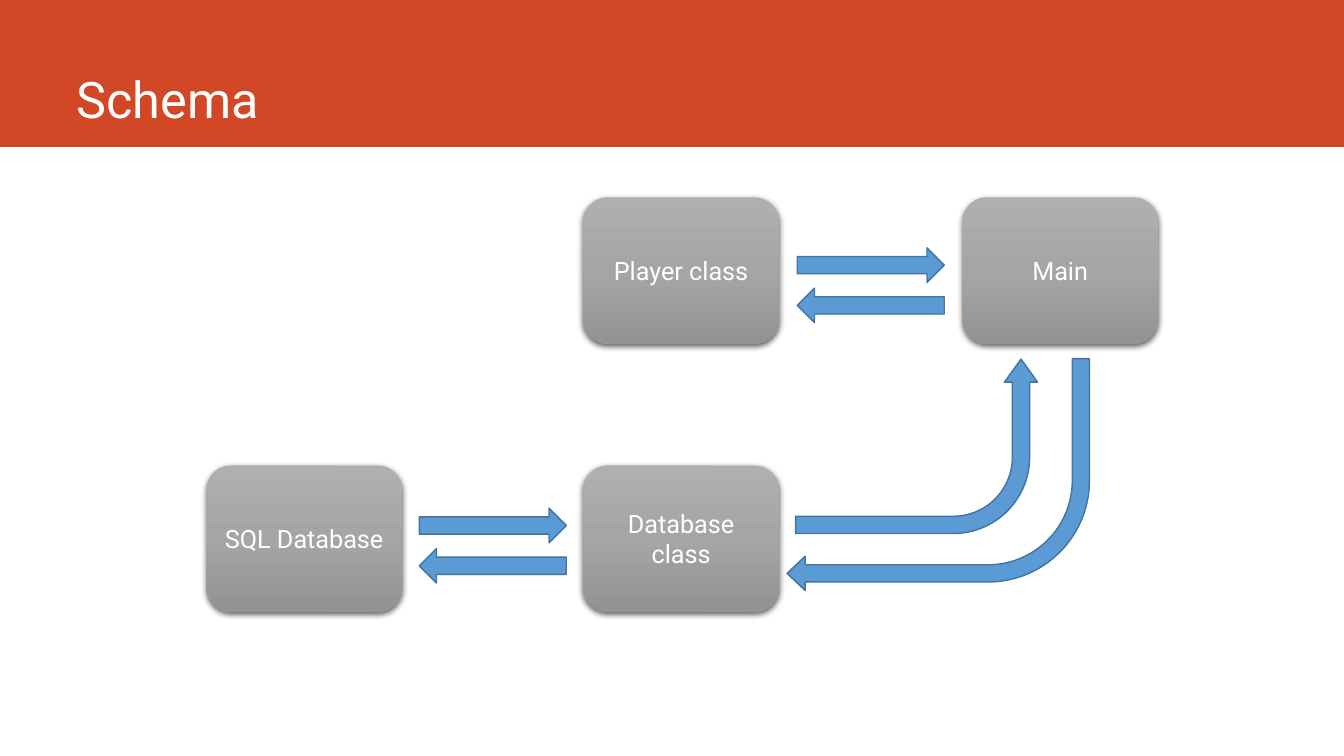
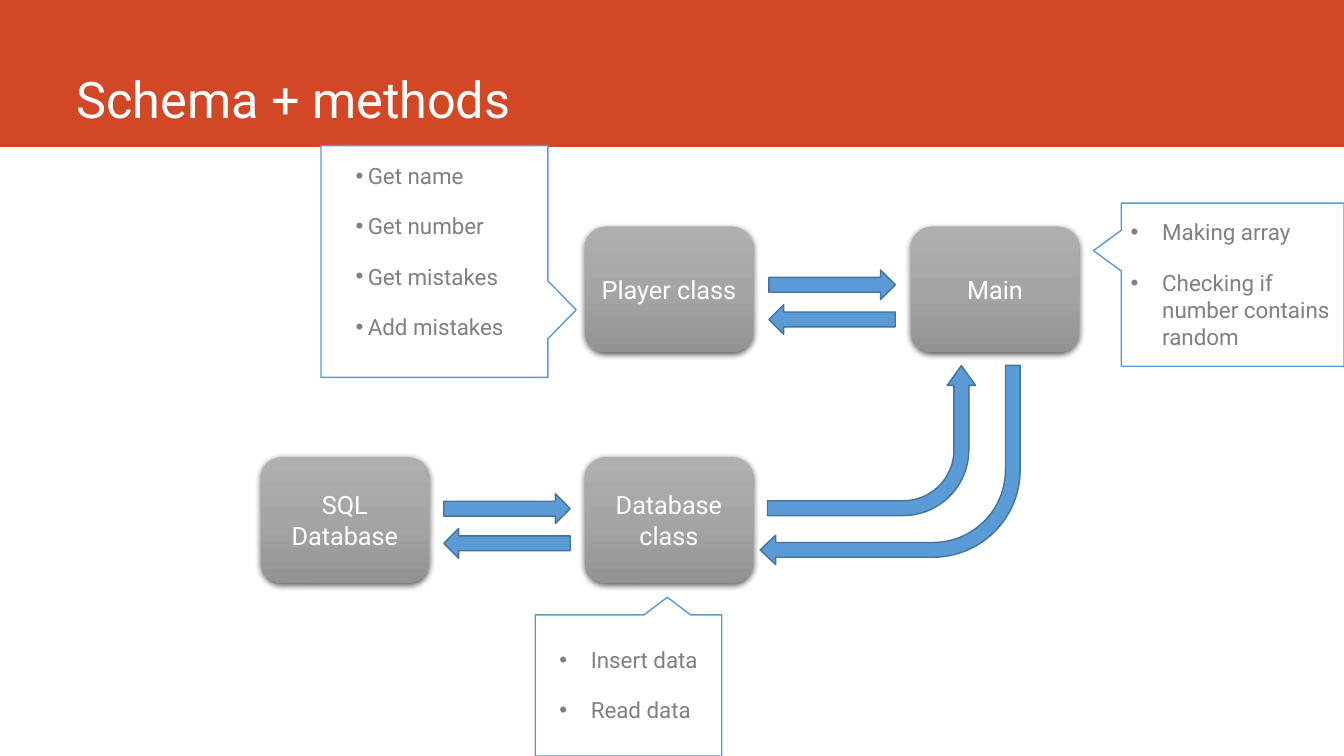
from copy import deepcopy

from lxml.etree import SubElement
from pptx import Presentation
from pptx.dml.color import RGBColor
from pptx.enum.shapes import MSO_SHAPE as SHAPE
from pptx.enum.text import MSO_ANCHOR as ANCHOR, PP_ALIGN as ALIGN
from pptx.oxml.ns import qn
from pptx.util import Pt

WIDTH, HEIGHT = 960, 540


def rgb(color):
    return RGBColor.from_string(color)


def write(tf, text, size=18, color="FFFFFF", align=ALIGN.LEFT, anchor=ANCHOR.TOP,
          before=0, after=0, indent=None):
    tf.word_wrap = True
    tf.vertical_anchor = anchor
    for i, line in enumerate(text.split("\n")):
        p = tf.add_paragraph() if i else tf.paragraphs[0]
        p.alignment = align
        p.space_before, p.space_after = Pt(before), Pt(after)
        r = p.add_run()
        r.text = line
        r.font.name, r.font.size = "Roboto", Pt(size)
        r.font.color.rgb = rgb(color)
        if indent is not None:
            pPr = p._p.get_or_add_pPr()
            pPr.set("marL", str(Pt(indent)))
            pPr.set("indent", str(-Pt(indent)))
            SubElement(pPr, qn("a:buFont"), typeface="Arial")
            SubElement(pPr, qn("a:buChar"), char="•")


class Deck:
    BAND, ARROW, ARROW_LINE = "D24726", "5B9BD5", "43739E"
    PAPER, LIST = "FFFFFF", "808080"
    BOX_STOPS = ((0, "AFAFAF"), (0.5, "A5A5A5"), (1, "939393"))

    def __init__(self):
        self.prs = Presentation()
        self.prs.slide_width, self.prs.slide_height = Pt(WIDTH), Pt(HEIGHT)

    def new_slide(self):
        self.s = self.prs.slides.add_slide(self.prs.slide_layouts[6])
        self.shape(SHAPE.RECTANGLE, 0, 0, WIDTH, 105, self.BAND)

    def shape(self, kind, x, y, w, h, fill=None, line=None, rotation=0):
        sp = self.s.shapes.add_shape(kind, Pt(x), Pt(y), Pt(w), Pt(h))
        sp.shadow.inherit = False
        sp.rotation = rotation
        if fill:
            sp.fill.solid()
            sp.fill.fore_color.rgb = rgb(fill)
        if line:
            sp.line.color.rgb = rgb(line)
            sp.line.width = Pt(1)
        else:
            sp.line.fill.background()
        return sp

    def text(self, x, y, w, h, text, **fmt):
        tb = self.s.shapes.add_textbox(Pt(x), Pt(y), Pt(w), Pt(h))
        write(tb.text_frame, text, **fmt)

    def title(self, text):
        self.text(47.5, 0, 847, 95.5, text, size=36, anchor=ANCHOR.BOTTOM)

    def bullets(self, x, y, w, h, text, indent=22.5):
        self.text(x, y, w, h, text, size=16, color=self.LIST,
                  before=4.8, after=12, indent=indent)

    def callout(self, x, y, w, h, rotation):
        self.shape(SHAPE.RECTANGULAR_CALLOUT, x, y, w, h,
                   self.PAPER, self.ARROW, rotation)

    def box(self, x, y, w, h, text):
        sp = self.shape(SHAPE.ROUNDED_RECTANGLE, x, y, w, h)
        sp.fill.gradient()
        sp.fill.gradient_angle = 270
        spPr = sp._element.spPr
        stops = spPr.find(".//" + qn("a:gsLst"))
        stops.append(deepcopy(stops[0]))
        for stop, (position, color) in zip(sp.fill.gradient_stops, self.BOX_STOPS):
            stop.position = position
            stop.color.rgb = rgb(color)
        shadow = SubElement(spPr.find(qn("a:effectLst")), qn("a:outerShdw"),
                            blurRad=str(Pt(4.5)), dist=str(Pt(1.5)),
                            dir="5400000", algn="ctr", rotWithShape="0")
        black = SubElement(shadow, qn("a:srgbClr"), val="000000")
        SubElement(black, qn("a:alpha"), val="63000")
        write(sp.text_frame, text, align=ALIGN.CENTER, anchor=ANCHOR.MIDDLE)

    def arrow(self, kind, x, y, w, h, rotation=0, adjust=(), flip=False):
        sp = self.shape(kind, x, y, w, h, self.ARROW, self.ARROW_LINE, rotation)
        for i, value in enumerate(adjust):
            sp.adjustments[i] = value
        if flip:
            sp._element.spPr.find(qn("a:xfrm")).set("flipH", "1")

    def schema(self, left, top, scale=1):
        def place(x, y, w, h):
            return left + x * scale, top + y * scale, w * scale, h * scale

        middle, right, lower = 269.2, 540, 191.5
        for x, y, text in ((middle, 0, "Player class"),
                           (middle, lower, "Database class"),
                           (0, lower, "Main\u00a0SQL Database".replace("Main\u00a0", "")),
                           (right, 0, "Main")):
            self.box(*place(x, y, 139.7, 104.5), text)
        for x, y in ((422, 36), (152, 222)):
            for dy, rotation in ((0, 180), (28.8, 0)):
                self.arrow(SHAPE.LEFT_ARROW, *place(x, y + dy, 105, 24.7), rotation)
        self.arrow(SHAPE.BENT_ARROW, *place(414.7, 115.2, 216, 165.6), 180,
                   (0.074, 0.074, 0.078, 0.438))
        self.arrow(SHAPE.BENT_ARROW, *place(445, 91.4, 124.6, 172.8), 90,
                   (0.099, 0.095, 0.132, 0.438), flip=True)


def main():
    deck = Deck()

    deck.new_slide()
    deck.title("Schema")
    deck.schema(147.5, 141)

    deck.new_slide()
    deck.callout(227.5, 105.8, 165.6, 162, 270)
    deck.callout(382.3, 439.2, 133.2, 100.8, 180)
    deck.callout(822.2, 123.8, 116.6, 159.1, 90)
    deck.title("Schema + methods")
    deck.schema(186.3, 161.8, 0.86)
    deck.bullets(800.6, 152.6, 159.1, 116.6,
                 "Making array\nChecking if number contains random")
    deck.bullets(247, 112.3, 159.1, 185.8,
                 "Get name\nGet number\nGet mistakes\nAdd mistakes", indent=8.6)
    deck.bullets(392.4, 458, 157, 77, "Insert data\nRead data")

    deck.prs.save("out.pptx")


if __name__ == "__main__":
    main()
